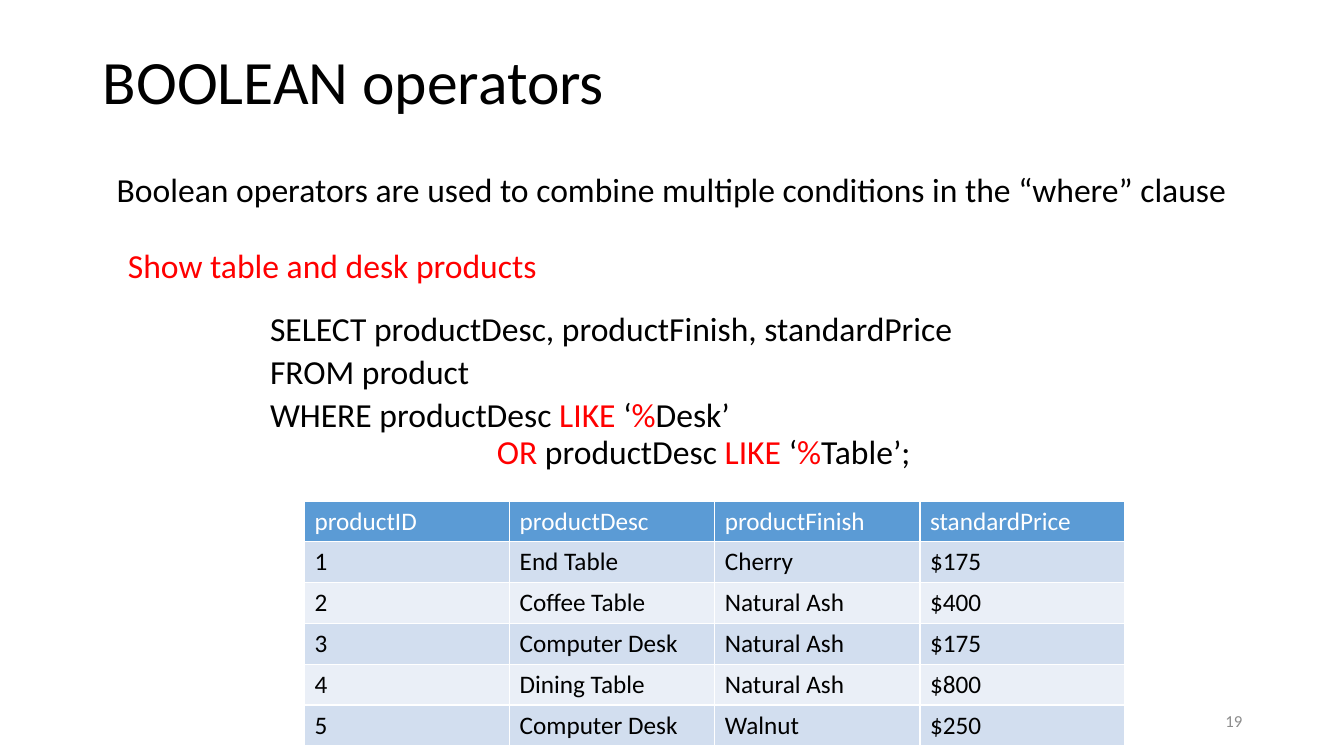
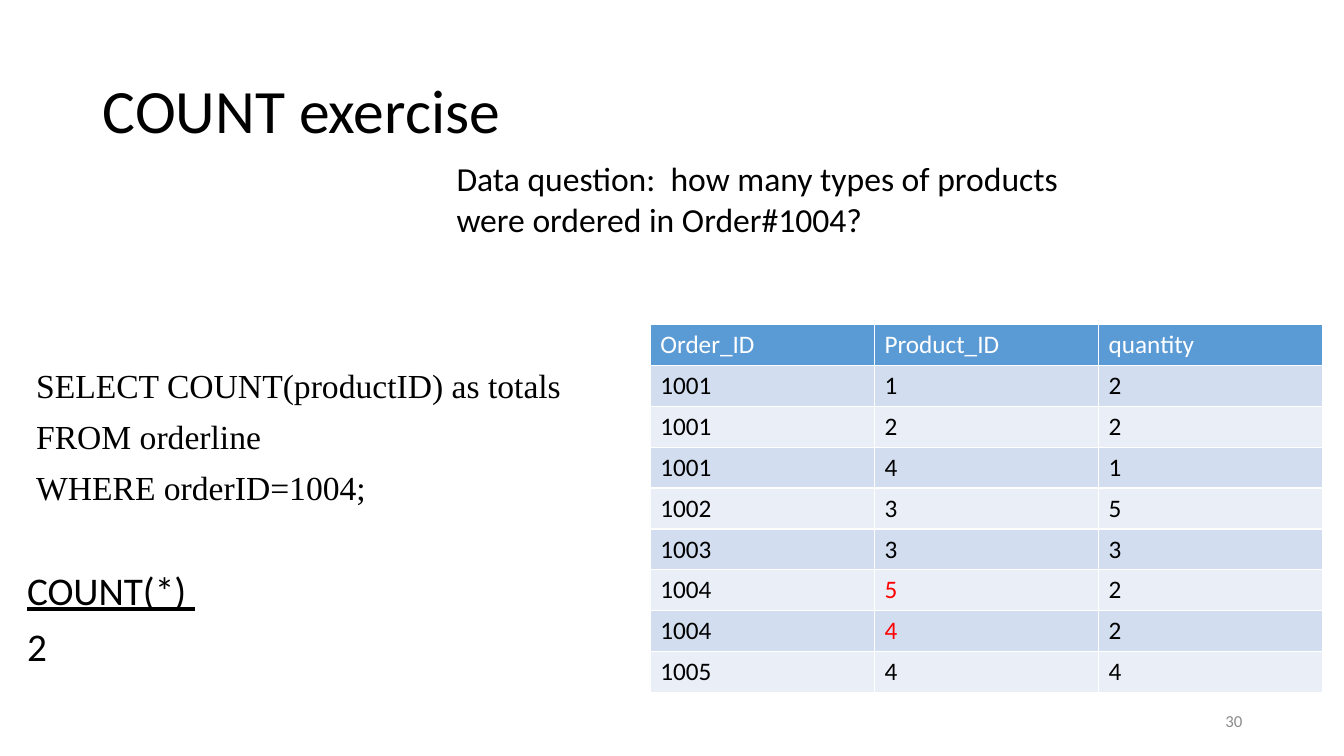
import pptx
import pptx.util
import pptx.dml.color
import pptx.enum.text

RGB = pptx.dml.color.RGBColor
ALIGN = pptx.enum.text.PP_ALIGN
ANCHOR = pptx.enum.text.MSO_ANCHOR
FIT = pptx.enum.text.MSO_AUTO_SIZE

BLACK = RGB(0x00, 0x00, 0x00)
WHITE = RGB(0xFF, 0xFF, 0xFF)
RED = RGB(0xFF, 0x00, 0x00)
GREY = RGB(0x8C, 0x8C, 0x8C)
BLUE = RGB(0x5B, 0x9B, 0xD5)
BANDS = (RGB(0xEA, 0xEF, 0xF7), RGB(0xD2, 0xDE, 0xEF))

SANS = "Calibri"
SERIF = "Times New Roman"
SCALE = 9144


def px(num):
    return pptx.util.Emu(num * SCALE)


def style(para, size, color=BLACK, face=SANS):
    para.font.size = pptx.util.Pt(size)
    para.font.name = face
    para.font.color.rgb = color


def add_text(slide, box, lines, size=24, color=BLACK, face=SANS,
             lead=1.0, gap=0, inset=0):
    frame = slide.shapes.add_textbox(*map(px, box)).text_frame
    frame.word_wrap = True
    for num, line in enumerate(lines):
        para = frame.add_paragraph() if num else frame.paragraphs[0]
        para.line_spacing = lead
        para.space_before = pptx.util.Pt(gap)
        para.text = line
        style(para, size, color, face)
        para._p.get_or_add_pPr().set("marL", str(px(inset)))
    return frame


def add_code(slide, box, lines):
    frame = add_text(slide, box, [""] * len(lines), lead=0.9, gap=5, inset=50)
    for para, parts in zip(frame.paragraphs, lines):
        for num, part in enumerate(parts):
            if part:
                run = para.add_run()
                run.text = part
                run.font.color.rgb = RED if num % 2 else BLACK
    return frame


def add_grid(slide, box, rows, marks=()):
    table = slide.shapes.add_table(len(rows), len(rows[0]), *map(px, box)).table
    for row, items in enumerate(rows):
        for col, item in enumerate(items):
            cell = table.cell(row, col)
            cell.fill.solid()
            cell.fill.fore_color.rgb = BANDS[row % 2] if row else BLUE
            cell.text = item
            para = cell.text_frame.paragraphs[0]
            ink = RED if (row, col) in marks else BLACK
            style(para, 18, ink if row else WHITE)
            para.font.bold = False


def add_slide(deck, name, top, page):
    slide = deck.slides.add_slide(deck.slide_layouts[5])
    title = slide.shapes.title
    title.left, title.top, title.width, title.height = map(px, (92, top, 1150, 145))
    frame = title.text_frame
    frame.text = name
    frame.auto_size = FIT.NONE
    frame.vertical_anchor = ANCHOR.MIDDLE
    para = frame.paragraphs[0]
    para.alignment = ALIGN.LEFT
    para.line_spacing = 0.9
    style(para, 44)
    foot = add_text(slide, (942, 695, 300, 40), [page], 12, GREY)
    foot.vertical_anchor = ANCHOR.MIDDLE
    foot.paragraphs[0].alignment = ALIGN.RIGHT
    return slide


def add_logic(deck):
    slide = add_slide(deck, "BOOLEAN operators", 11, "19")
    code = add_code(slide, (208, 305, 917, 200), [
        ["SELECT productDesc, productFinish, standardPrice"],
        ["FROM product"],
        ["WHERE productDesc ", "LIKE", " ‘", "%", "Desk’"],
        ["", "OR ", "productDesc ", "LIKE", " ‘", "%", "Table’;"],
    ])
    last = code.paragraphs[-1]
    last.space_before = pptx.util.Pt(0)
    last._p.get_or_add_pPr().set("marL", str(px(275)))
    add_grid(slide, (302, 497, 814, 243), [
        ["productID", "productDesc", "productFinish", "standardPrice"],
        ["1", "End Table", "Cherry", "$175"],
        ["2", "Coffee Table", "Natural Ash", "$400"],
        ["3", "Computer Desk", "Natural Ash", "$175"],
        ["4", "Dining Table", "Natural Ash", "$800"],
        ["5", "Computer Desk", "Walnut", "$250"],
    ])
    add_text(slide, (117, 238, 947, 50), ["Show table and desk products"], color=RED)
    add_text(slide, (106, 163, 1136, 50), [
        "Boolean operators are used to combine multiple conditions in the “where” clause"])


def add_count(deck):
    slide = add_slide(deck, "COUNT exercise", 40, "30")
    total = add_text(slide, (17, 562, 620, 180), ["COUNT(*) ", "2"], 28, lead=0.9, gap=10)
    total.paragraphs[0].runs[0].font.underline = True
    add_grid(slide, (645, 322, 667, 365), [
        ["Order_ID", "Product_ID", "quantity"],
        ["1001", "1", "2"],
        ["1001", "2", "2"],
        ["1001", "4", "1"],
        ["1002", "3", "5"],
        ["1003", "3", "3"],
        ["1004", "5", "2"],
        ["1004", "4", "2"],
        ["1005", "4", "4"],
    ], {(6, 1), (7, 1)})
    add_text(slide, (17, 357, 620, 190), [
        "SELECT COUNT(productID) as totals",
        "FROM orderline",
        "WHERE orderID=1004;",
    ], face=SERIF, gap=7.5, inset=9)
    add_text(slide, (443, 152, 667, 91), [
        "Data question:  how many types of products were ordered in Order#1004?"])


def main():
    deck = pptx.Presentation()
    deck.slide_width, deck.slide_height = px(1333), px(750)
    add_logic(deck)
    add_count(deck)
    deck.save("out.pptx")


if __name__ == "__main__":
    main()
